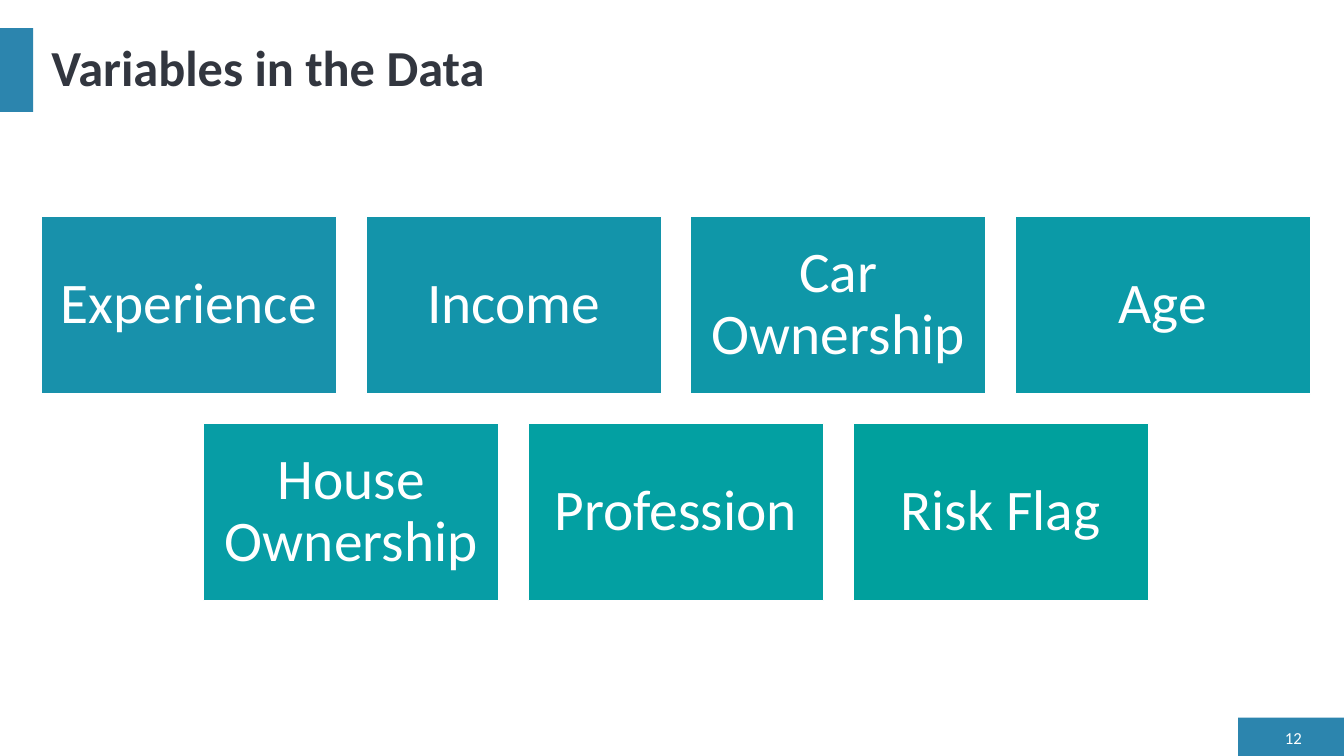
from pptx import Presentation
from pptx.dml.color import RGBColor
from pptx.enum.shapes import MSO_SHAPE
from pptx.enum.text import MSO_ANCHOR, PP_ALIGN
from pptx.util import Inches, Pt

RECTANGLE = MSO_SHAPE.RECTANGLE
MIDDLE = MSO_ANCHOR.MIDDLE
LEFT, CENTER, RIGHT = PP_ALIGN.LEFT, PP_ALIGN.CENTER, PP_ALIGN.RIGHT

WHITE = RGBColor(0xFF, 0xFF, 0xFF)
BLUE = RGBColor(0x2C, 0x85, 0xAE)
DARK = RGBColor(0x32, 0x36, 0x3F)

TILE_WIDTH, TILE_HEIGHT, TILE_GAP = 2.93, 1.76, 0.29
TILE_CENTER = 6.705
TILE_TOP = 2.15
TILE_ROWS = [
    [("Experience", RGBColor(0x18, 0x91, 0xAB)),
     ("Income", RGBColor(0x13, 0x94, 0xAA)),
     ("Car Ownership", RGBColor(0x0F, 0x97, 0xA8)),
     ("Age", RGBColor(0x0B, 0x9A, 0xA7))],
    [("House Ownership", RGBColor(0x07, 0x9D, 0xA5)),
     ("Profession", RGBColor(0x03, 0xA0, 0xA2)),
     ("Risk Flag", RGBColor(0x00, 0xA0, 0x9D))],
]


def add_rectangle(left, top, width, height, color):
    box = page.shapes.add_shape(RECTANGLE, Inches(left), Inches(top),
                                Inches(width), Inches(height))
    box.shadow.inherit = False
    box.fill.solid()
    box.fill.fore_color.rgb = color
    box.line.fill.background()
    return box


def write_text(box, text, size, color, align, spacing=1.0, bold=False):
    frame = box.text_frame
    frame.word_wrap = True
    frame.vertical_anchor = MIDDLE
    para = frame.paragraphs[0]
    para.alignment = align
    para.line_spacing = spacing
    span = para.add_run()
    span.text = text
    for name, value in {"name": "Calibri", "size": Pt(size), "bold": bold}.items():
        setattr(span.font, name, value)
    span.font.color.rgb = color


deck = Presentation()
deck.slide_width, deck.slide_height = Inches(13.33), Inches(7.5)
page = deck.slides.add_slide(deck.slide_layouts[5])

# Accent blocks
add_rectangle(12.28, 7.12, 1.05, 0.38, BLUE)
add_rectangle(0, 0.28, 0.33, 0.83, BLUE)

# Title
title = page.shapes.title
title.left, title.top = Inches(0.41), Inches(0.28)
title.width, title.height = Inches(12.6), Inches(0.83)
write_text(title, "Variables in the Data", 36, DARK, LEFT, 0.9, True)

# Variable tiles, each row centred
for row, tiles in enumerate(TILE_ROWS):
    row_width = len(tiles) * (TILE_WIDTH + TILE_GAP) - TILE_GAP
    row_left = TILE_CENTER - row_width / 2
    top = TILE_TOP + row * (TILE_HEIGHT + TILE_GAP)
    for column, (label, color) in enumerate(tiles):
        left = row_left + column * (TILE_WIDTH + TILE_GAP)
        tile = add_rectangle(left, top, TILE_WIDTH, TILE_HEIGHT, color)
        tile.line.color.rgb = WHITE
        tile.line.width = Pt(1)
        for side in ("left", "top", "right", "bottom"):
            setattr(tile.text_frame, f"margin_{side}", Inches(0.17))
        write_text(tile, label, 41, WHITE, CENTER, 0.9)

# Page number
number = page.shapes.add_textbox(Inches(12.6), Inches(7.2), Inches(0.41), Inches(0.23))
write_text(number, "12", 12, WHITE, RIGHT)

deck.save("out.pptx")
